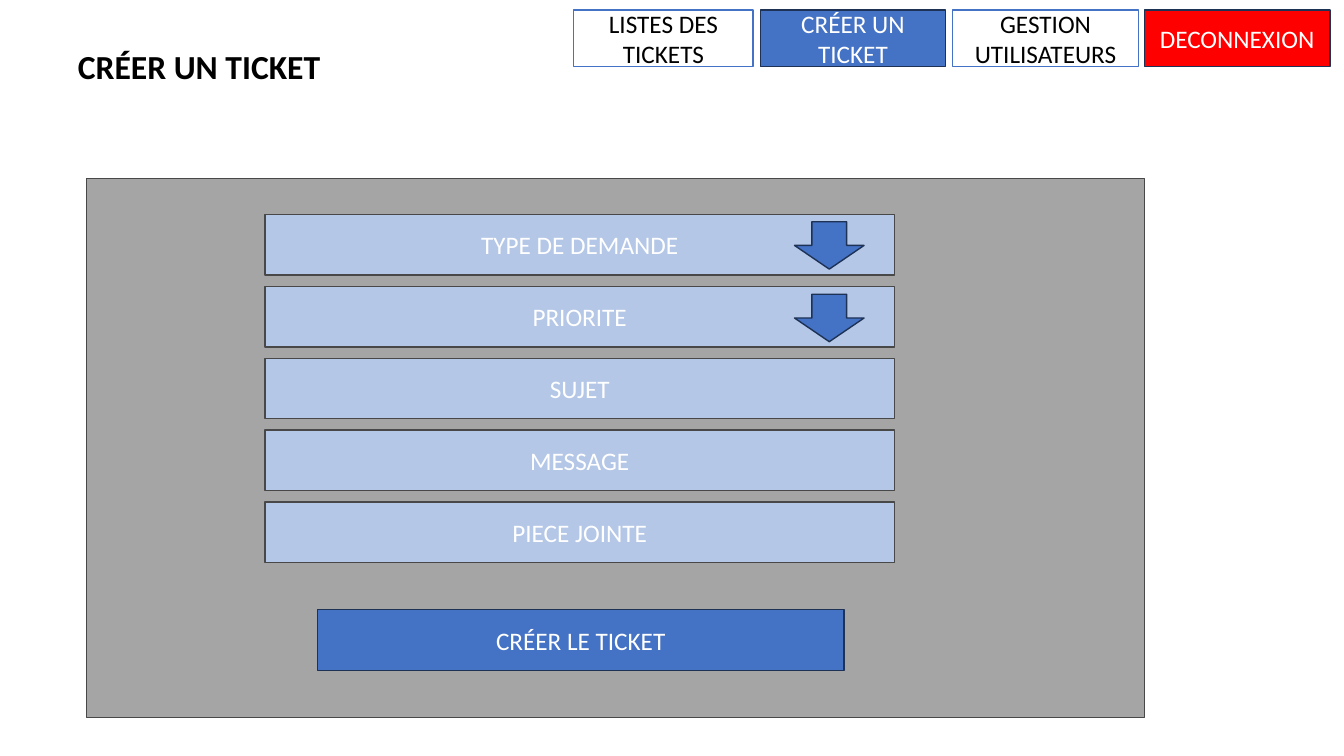
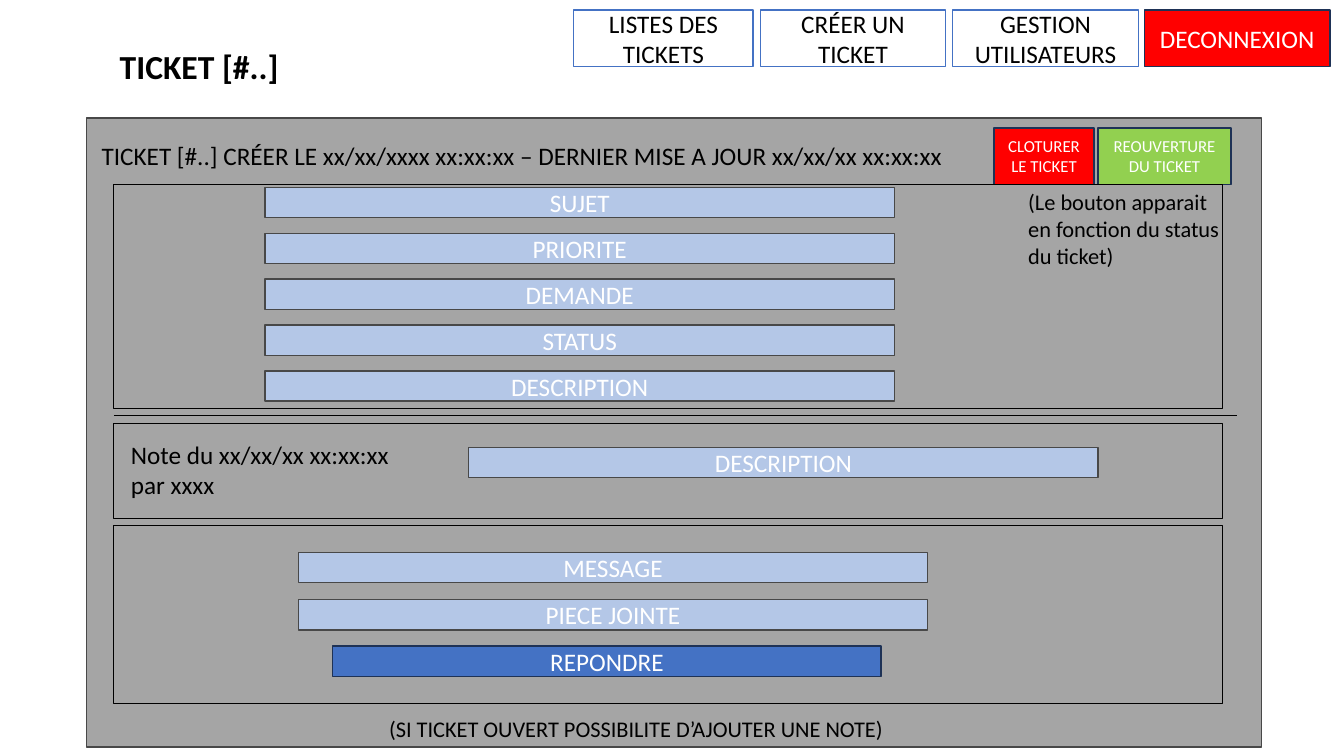
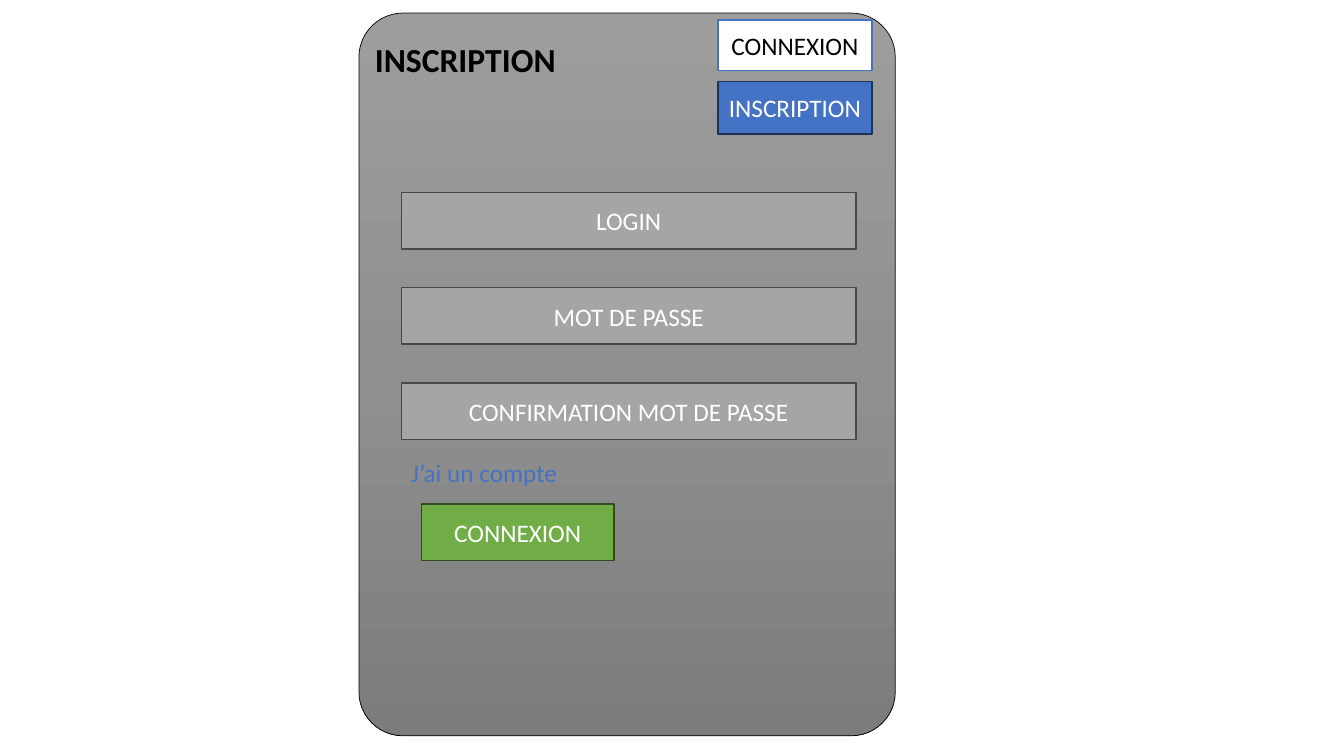
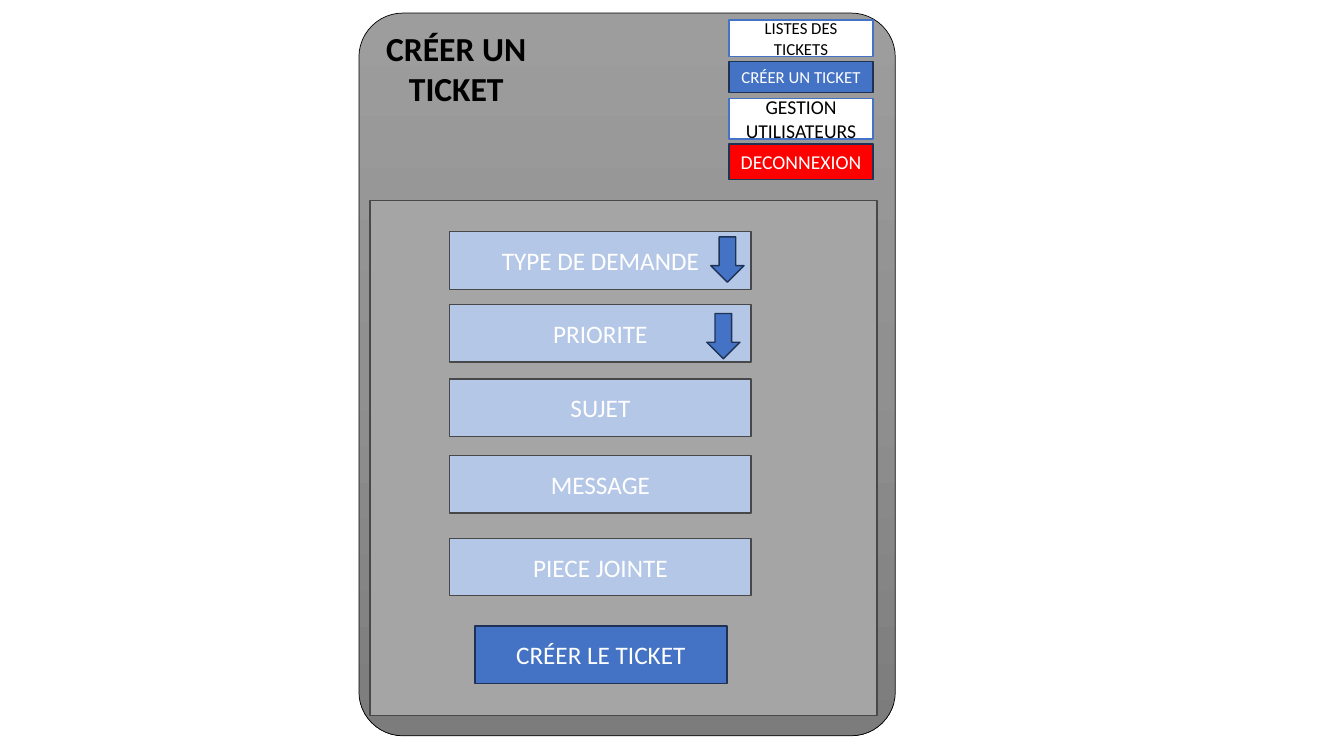
from copy import deepcopy

from pptx import Presentation
from pptx.dml.color import RGBColor
from pptx.enum.shapes import MSO_CONNECTOR, MSO_SHAPE
from pptx.enum.text import MSO_ANCHOR, PP_ALIGN
from pptx.oxml.ns import qn
from pptx.util import Inches, Pt

# Shared look
FONT = "Calibri"
BLACK = RGBColor(0x00, 0x00, 0x00)
WHITE = RGBColor(0xFF, 0xFF, 0xFF)
BLUE = RGBColor(0x44, 0x72, 0xC4)
NAVY = RGBColor(0x1E, 0x32, 0x56)
PALE_BLUE = RGBColor(0xB4, 0xC7, 0xE7)
GREY = RGBColor(0xA5, 0xA5, 0xA5)
DARK_GREY = RGBColor(0x48, 0x48, 0x48)
RED = RGBColor(0xFF, 0x00, 0x00)
LIME = RGBColor(0x92, 0xD0, 0x50)
GREEN = RGBColor(0x70, 0xAD, 0x47)
DARK_GREEN = RGBColor(0x31, 0x4C, 0x1F)
PHONE_SHADES = [(0, RGBColor(0x9D, 0x9D, 0x9D)),
                (0.5, RGBColor(0x90, 0x90, 0x90)),
                (1, RGBColor(0x7C, 0x7C, 0x7C))]

# Role: fill, outline, text colour, outline width
STYLES = {
    "panel": (GREY, DARK_GREY, WHITE, 1),
    "field": (PALE_BLUE, DARK_GREY, WHITE, 1),
    "action": (BLUE, NAVY, WHITE, 1),
    "link": (WHITE, BLUE, BLACK, 1),
    "danger": (RED, NAVY, WHITE, 1),
    "reopen": (LIME, NAVY, WHITE, 1),
    "confirm": (GREEN, DARK_GREEN, WHITE, 1),
    "frame": (None, BLACK, BLACK, 0.75),
}

# Content
LIST, CREATE, USERS, LOGOUT = MENU = [
    "LISTES DES TICKETS", "CRÉER UN TICKET", "GESTION UTILISATEURS", "DECONNEXION"]
DESKTOP_MENU = [(5.69, 1.78), (7.54, 1.84), (9.45, 1.84), (11.35, 1.84)]  # left, width
PHONE_MENU = [(0.2, 0.36, 12), (0.61, 0.31, 12),
              (0.98, 0.4, 14), (1.43, 0.35, 14)]  # top, height, text size
CREATE_FIELDS = ["TYPE DE DEMANDE", "PRIORITE", "SUJET", "MESSAGE", "PIECE JOINTE"]
CREATE_BUTTON = "CRÉER LE TICKET"
TICKET_FIELDS = ["SUJET", "PRIORITE", "DEMANDE", "STATUS", "DESCRIPTION"]
REPLY_FIELDS = ["MESSAGE", "PIECE JOINTE"]
SIGNUP_FIELDS = ["LOGIN", "MOT DE PASSE", "CONFIRMATION MOT DE PASSE"]
TICKET_FRAMES = [(1.83, 2.22), (4.2, 0.94), (5.21, 1.77)]  # top, height
TICKET_NOTES = [
    ("TICKET [#..] CRÉER LE xx/xx/xxxx xx:xx:xx – DERNIER MISE A JOUR xx/xx/xx xx:xx:xx",
     (0.91, 1.34, 8.54, 0.4), 18),
    ("Note du xx/xx/xx xx:xx:xx par xxxx", (1.2, 4.31, 3.02, 0.71), 18),
    ("(SI TICKET OUVERT POSSIBILITE D’AJOUTER UNE NOTE)", (3.76, 7.05, 6.99, 0.37), 16),
    ("(Le bouton apparait en fonction du status du ticket)", (10.1, 1.82, 2.17, 0.91), 16),
]
DESKTOP_TITLE = (0, 0, 3.95, 1.31)


def inches(box):
    return [Inches(length) for length in box]


def spread(first, last, count):
    """Equally spaced tops from first to last."""
    return [first + (last - first) * i / (count - 1) for i in range(count)]


def write(frame, text, size, color, bold=False, align=PP_ALIGN.CENTER, anchor=MSO_ANCHOR.MIDDLE):
    frame.word_wrap = True
    frame.vertical_anchor = anchor
    paragraph = frame.paragraphs[0]
    paragraph.alignment = align
    run = paragraph.add_run()
    run.text = text
    run.font.name, run.font.size, run.font.bold = FONT, Pt(size), bold
    run.font.color.rgb = color


def block(slide, role, box, text="", size=18, kind=MSO_SHAPE.RECTANGLE):
    fill, outline, ink, width = STYLES[role]
    shape = slide.shapes.add_shape(kind, *inches(box))
    shape.shadow.inherit = False
    if fill is None:
        shape.fill.background()
    else:
        shape.fill.solid()
        shape.fill.fore_color.rgb = fill
    shape.line.color.rgb = outline
    shape.line.width = Pt(width)
    if text:
        write(shape.text_frame, text, size, ink)
    return shape


def title(slide, text, box):
    write(slide.shapes.add_textbox(*inches(box)).text_frame, text, 24, BLACK, bold=True)


def note(slide, text, box, size, color=BLACK):
    write(slide.shapes.add_textbox(*inches(box)).text_frame, text, size, color,
          align=PP_ALIGN.LEFT, anchor=MSO_ANCHOR.TOP)


def stack(slide, labels, left, tops, width, height, role="field"):
    for label, top in zip(labels, tops):
        block(slide, role, (left, top, width, height), label)


def arrows(slide, corners, width, height):
    for left, top in corners:
        block(slide, "action", (left, top, width, height), kind=MSO_SHAPE.DOWN_ARROW)


def menu_role(label, current):
    if label == LOGOUT:
        return "danger"
    return "action" if label == current else "link"


def desktop_menu(slide, current=None):
    for label, (left, width) in zip(MENU, DESKTOP_MENU):
        block(slide, menu_role(label, current), (left, 0.1, width, 0.56), label)


def phone_screen(slide):
    phone = block(slide, "frame", (3.56, 0.13, 5.32, 7.17), kind=MSO_SHAPE.ROUNDED_RECTANGLE)
    phone.adjustments[0] = 0.082
    phone.line.width = Pt(0.5)
    phone.fill.gradient()
    phone.fill.gradient_angle = 270
    stops = phone.element.find(".//" + qn("a:gsLst"))
    stops.insert(1, deepcopy(stops[0]))
    for stop, (position, shade) in zip(phone.fill.gradient_stops, PHONE_SHADES):
        stop.position = position
        stop.color.rgb = shade


def create_desktop(slide):
    title(slide, CREATE, DESKTOP_TITLE)
    desktop_menu(slide, CREATE)
    block(slide, "panel", (0.86, 1.77, 10.49, 5.35))
    stack(slide, CREATE_FIELDS, 2.63, spread(2.13, 4.98, 5), 6.24, 0.6)
    arrows(slide, [(7.88, 2.2), (7.88, 2.92)], 0.69, 0.47)
    block(slide, "action", (3.15, 6.05, 5.22, 0.6), CREATE_BUTTON)


def ticket_desktop(slide):
    title(slide, "TICKET [#..]", DESKTOP_TITLE)
    desktop_menu(slide)
    block(slide, "panel", (0.86, 1.17, 11.65, 6.24))
    block(slide, "danger", (9.86, 1.27, 0.99, 0.56), "CLOTURER LE TICKET", 12)
    block(slide, "reopen", (10.89, 1.27, 1.32, 0.56), "REOUVERTURE DU TICKET", 12)
    # Ticket details, note and reply
    stack(slide, TICKET_FIELDS, 2.63, spread(1.86, 3.68, 5), 6.24, 0.3)
    for top, height in TICKET_FRAMES:
        block(slide, "frame", (1.13, top, 11, height))
    divider = slide.shapes.add_connector(
        MSO_CONNECTOR.STRAIGHT, *inches((1.13, 4.12, 12.27, 4.12)))
    divider.line.color.rgb = BLACK
    divider.line.width = Pt(0.5)
    divider.element.spPr.append(divider.element.makeelement(qn("a:effectLst"), {}))
    stack(slide, ["DESCRIPTION"], 4.65, [4.44], 6.24, 0.3)
    stack(slide, REPLY_FIELDS, 2.96, [5.48, 5.95], 6.24, 0.3)
    block(slide, "action", (3.3, 6.41, 5.44, 0.3), "REPONDRE")
    for text, box, size in TICKET_NOTES:
        note(slide, text, box, size)


def signup_phone(slide):
    phone_screen(slide)
    title(slide, "INSCRIPTION", (3.56, 0.34, 2.11, 0.5))
    stack(slide, SIGNUP_FIELDS, 3.98, spread(1.91, 3.8, 3), 4.51, 0.56, "panel")
    note(slide, "J’ai un compte", (3.98, 4.49, 2.11, 0.4), 18, BLUE)
    block(slide, "confirm", (4.18, 5, 1.91, 0.56), "CONNEXION")
    block(slide, "link", (7.12, 0.2, 1.53, 0.5), "CONNEXION")
    block(slide, "action", (7.12, 0.81, 1.53, 0.52), "INSCRIPTION")


def create_phone(slide):
    phone_screen(slide)
    block(slide, "panel", (3.67, 1.99, 5.03, 5.11))
    stack(slide, CREATE_FIELDS, 4.46, [2.3, 3.02, 3.76, 4.52, 5.34], 2.99, 0.57)
    arrows(slide, [(7.05, 2.35), (7.01, 3.11)], 0.33, 0.45)
    block(slide, "action", (4.71, 6.21, 2.5, 0.57), CREATE_BUTTON)
    title(slide, CREATE, (3.67, 0.22, 1.71, 0.91))
    for label, (top, height, size) in zip(MENU, PHONE_MENU):
        block(slide, menu_role(label, CREATE), (7.23, top, 1.43, height), label, size)


def main():
    deck = Presentation()
    deck.slide_width, deck.slide_height = inches((13.33, 7.5))
    for build in (create_desktop, ticket_desktop, signup_phone, create_phone):
        build(deck.slides.add_slide(deck.slide_layouts[6]))
    deck.save("out.pptx")


if __name__ == "__main__":
    main()
